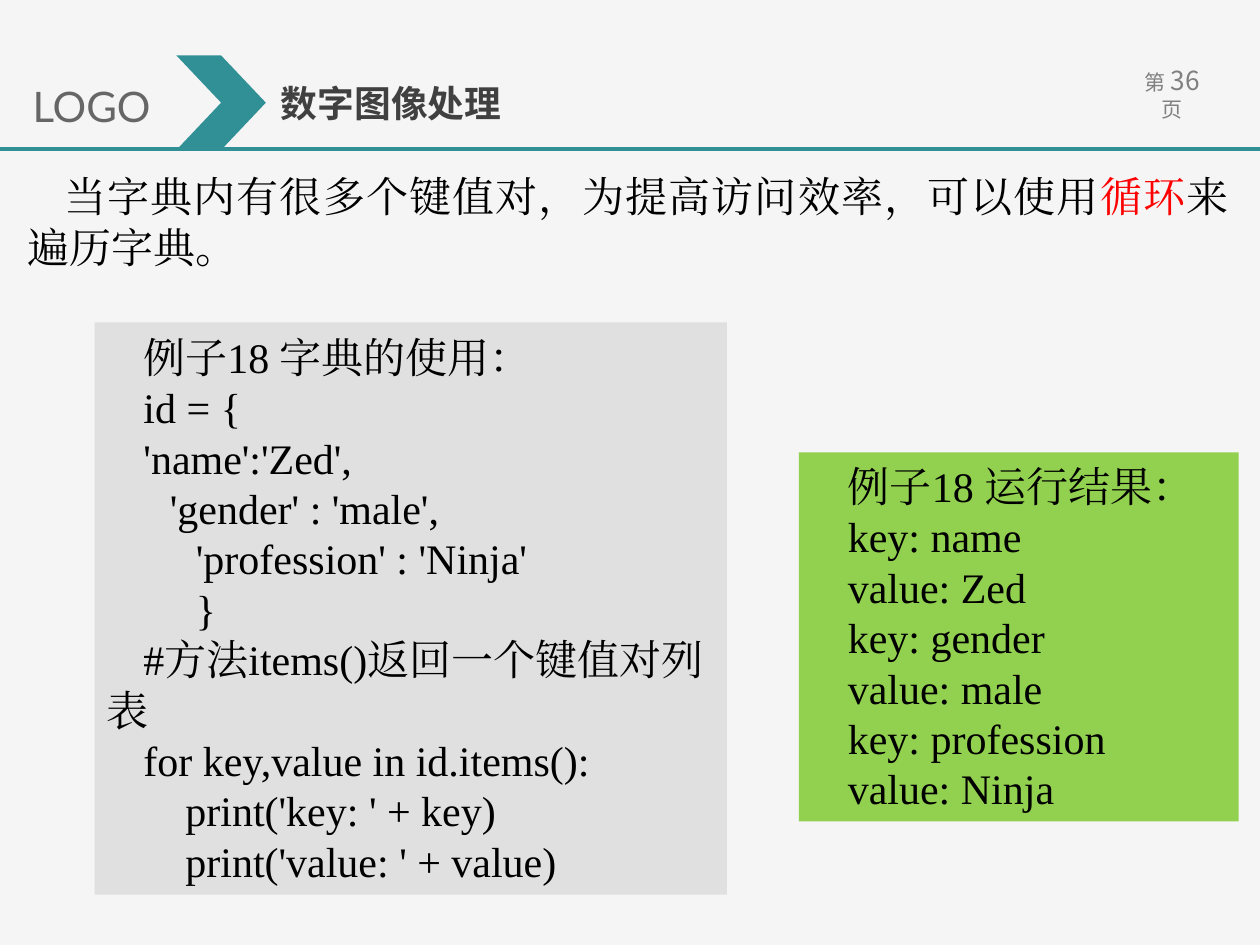
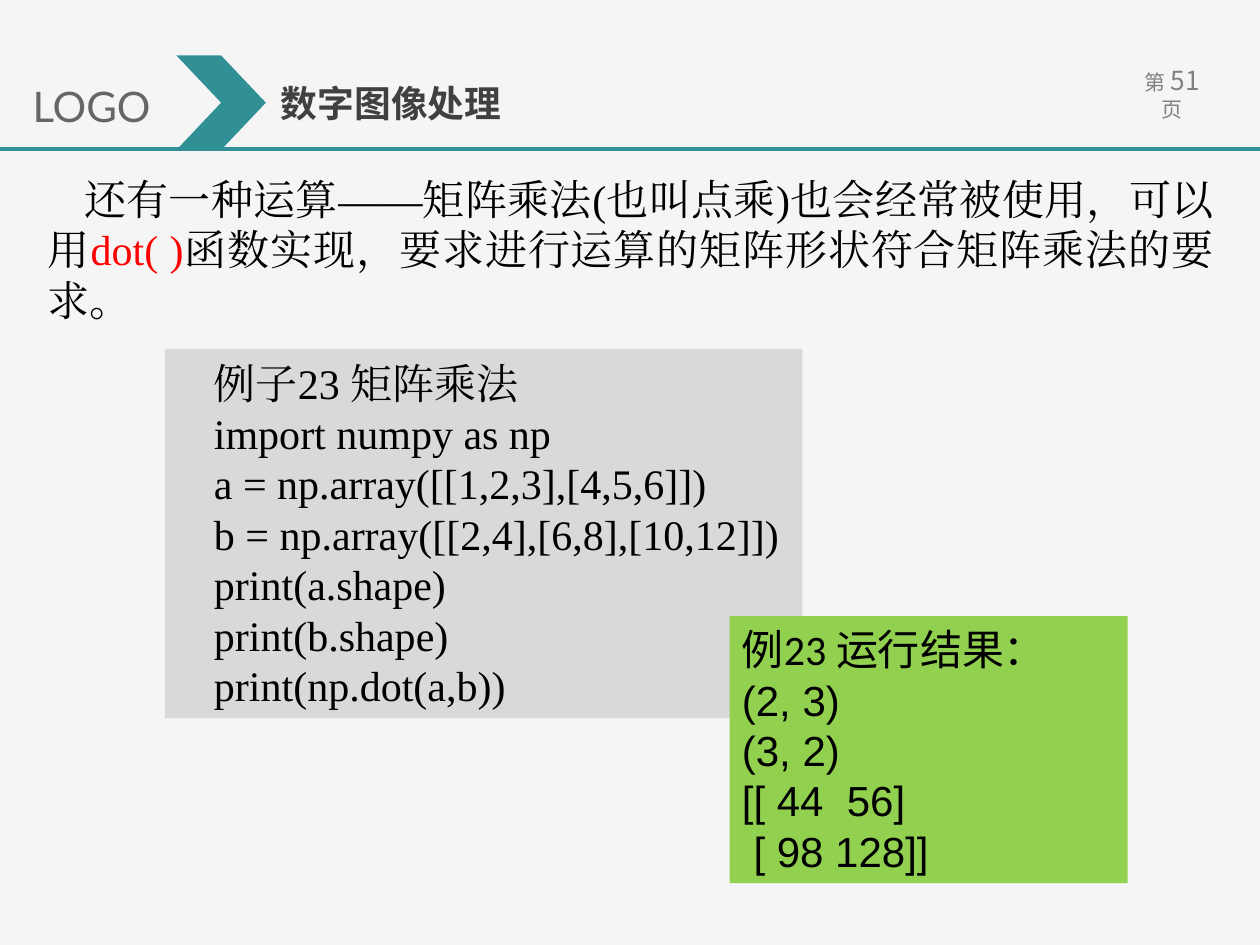
"""Build two lecture slides on dictionary loops and matrix multiplication."""
from lxml.etree import SubElement
from pptx import Presentation
from pptx.dml.color import RGBColor
from pptx.enum.shapes import MSO_CONNECTOR, MSO_SHAPE
from pptx.enum.text import MSO_ANCHOR, PP_ALIGN
from pptx.oxml.ns import qn
from pptx.util import Inches, Pt

BACKGROUND = RGBColor(0xF5, 0xF5, 0xF5)
TEAL = RGBColor(0x31, 0x90, 0x95)
TITLE_GREY = RGBColor(0x40, 0x40, 0x40)
LOGO_GREY = RGBColor(0x66, 0x66, 0x66)
PAGE_GREY = RGBColor(0x80, 0x80, 0x80)
BLACK = RGBColor(0, 0, 0)
RED = RGBColor(0xFF, 0, 0)
CODE_GREY = RGBColor(0xE0, 0xE0, 0xE0)
CODE_DARKER = RGBColor(0xD9, 0xD9, 0xD9)
GREEN = RGBColor(0x92, 0xD0, 0x50)

CHINESE, SERIF = "Noto Sans CJK SC", "Times New Roman"
INDENT, TAB_STOP = 0.29, 1.19
TITLE = "数字图像处理"

SLIDES = [
    {
        "page": "36",
        "intro": [
            ("当字典内有很多个键值对，为提高访问效率，可以使用", {}),
            ("循环", {"color": RED}),
            ("来遍历字典。", {}),
        ],
        "intro_box": (0.12, 1.3, 9.73, 0.91),
        "panels": [
            {
                "box": (0.75, 2.56, 5.02, 4.54),
                "fill": CODE_GREY,
                "lines": [
                    "例子18 字典的使用：",
                    "id = {",
                    "'name':'Zed',",
                    " \t'gender' : 'male',",
                    "     'profession' : 'Ninja'",
                    "     }",
                    "#方法items()返回一个键值对列表",
                    "for key,value in id.items():",
                    "    print('key: ' + key)",
                    "    print('value: ' + value)",
                ],
            },
            {
                "box": (6.34, 3.59, 3.49, 2.93),
                "fill": GREEN,
                "lines": [
                    "例子18 运行结果：",
                    "key: name",
                    "value: Zed",
                    "key: gender",
                    "value: male",
                    "key: profession",
                    "value: Ninja",
                ],
            },
        ],
    },
    {
        "page": "51",
        "intro": [
            ("还有一种运算——矩阵乘法(也叫点乘)也会经常被使用，可以用", {}),
            ("dot( )", {"color": RED}),
            ("函数实现，要求进行运算的矩阵形状符合矩阵乘法的要求。", {}),
        ],
        "intro_box": (0.28, 1.32, 9.45, 1.31),
        "panels": [
            {
                "box": (1.31, 2.77, 5.06, 2.93),
                "fill": CODE_DARKER,
                "lines": [
                    "例子23 矩阵乘法",
                    "import numpy as np",
                    "a = np.array([[1,2,3],[4,5,6]])",
                    "b = np.array([[2,4],[6,8],[10,12]])",
                    "print(a.shape)",
                    "print(b.shape)",
                    "print(np.dot(a,b))",
                ],
            },
            {
                "box": (5.79, 4.89, 3.16, 2.12),
                "fill": GREEN,
                "indent": 0,
                "fonts": ("Calibri", "Arial"),
                "lines": [
                    "例23 运行结果：",
                    "(2, 3)",
                    "(3, 2)",
                    "[[ 44  56]",
                    " [ 98 128]]",
                ],
            },
        ],
    },
]


def add_run(paragraph, text, font=SERIF, size=24, color=BLACK, bold=False):
    run = paragraph.add_run()
    run.text = text
    run.font.name, run.font.size, run.font.bold = font, Pt(size), bold
    run.font.color.rgb = color
    SubElement(run.font._element, qn("a:ea"), typeface=font)


def write_text(shape, paragraphs, indent=0, align=PP_ALIGN.LEFT, spacing=None,
               anchor=MSO_ANCHOR.MIDDLE, wrap=True, **run_format):
    """Write paragraphs, each a list of (text, format) runs, into a shape."""
    frame = shape.text_frame
    frame.word_wrap, frame.vertical_anchor = wrap, anchor
    for number, runs in enumerate(paragraphs):
        paragraph = frame.add_paragraph() if number else frame.paragraphs[0]
        paragraph.alignment = align
        if spacing:
            paragraph.line_spacing = Pt(spacing)
        properties = paragraph._p.get_or_add_pPr()
        properties.set("marL", "0")
        properties.set("indent", str(Inches(indent)))
        if any("\t" in text for text, _ in runs):
            tabs = SubElement(properties, qn("a:tabLst"))
            SubElement(tabs, qn("a:tab"), pos=str(Inches(TAB_STOP)), algn="l")
        for text, changes in runs:
            add_run(paragraph, text, **{**run_format, **changes})


def add_text(slide, box, paragraphs, **text_format):
    shape = slide.shapes.add_textbox(*map(Inches, box))
    write_text(shape, paragraphs, **text_format)
    return shape


def add_filled(slide, kind, box, color):
    shape = slide.shapes.add_shape(kind, *map(Inches, box))
    shape.shadow.inherit = False
    shape.fill.solid()
    shape.fill.fore_color.rgb = color
    shape.line.fill.background()
    return shape


def add_header(slide, page):
    number = add_text(
        slide, (8.84, 0.44, 0.93, 0.35),
        [[("第", {}), (" ", {"size": 13.5}), (page, {"size": 15}),
          (" ", {"size": 13.5}), ("页", {})]],
        align=PP_ALIGN.CENTER, spacing=15, anchor=MSO_ANCHOR.TOP,
        font=CHINESE, size=12, color=PAGE_GREY)
    frame = number.text_frame
    frame.margin_left = frame.margin_right = Inches(0.15)
    frame.margin_top = Inches(0.11)

    rule = slide.shapes.add_connector(
        MSO_CONNECTOR.STRAIGHT, 0, Inches(1.18), Inches(10.01), Inches(1.18))
    rule.line.color.rgb, rule.line.width = TEAL, Pt(2.25)
    SubElement(rule._element.spPr, qn("a:effectLst"))

    title = slide.shapes.title
    title.left, title.top, title.width, title.height = map(
        Inches, (2.13, 0.59, 6.03, 0.45))
    write_text(title, [[(TITLE, {})]], font=CHINESE, size=21,
               color=TITLE_GREY, bold=True)
    add_filled(slide, MSO_SHAPE.CHEVRON, (1.4, 0.44, 0.71, 0.75), TEAL)
    add_text(slide, (0.16, 0.58, 1.25, 0.51), [[("LOGO", {})]],
             wrap=False, font="Lato", color=LOGO_GREY)


def add_panel(slide, panel):
    first_font, other_font = panel.get("fonts", (SERIF, SERIF))
    paragraphs = [[(line, {"font": other_font if number else first_font})]
                  for number, line in enumerate(panel["lines"])]
    shape = add_filled(slide, MSO_SHAPE.RECTANGLE, panel["box"], panel["fill"])
    write_text(shape, paragraphs, indent=panel.get("indent", INDENT), spacing=28.8)


def main():
    presentation = Presentation()
    presentation.slide_width, presentation.slide_height = Inches(10), Inches(7.5)
    for content in SLIDES:
        slide = presentation.slides.add_slide(presentation.slide_layouts[5])
        slide.background.fill.solid()
        slide.background.fill.fore_color.rgb = BACKGROUND
        add_header(slide, content["page"])
        add_text(slide, content["intro_box"], [content["intro"]],
                 indent=INDENT, align=PP_ALIGN.JUSTIFY, spacing=28.8)
        for panel in content["panels"]:
            add_panel(slide, panel)
    presentation.save("out.pptx")


if __name__ == "__main__":
    main()
